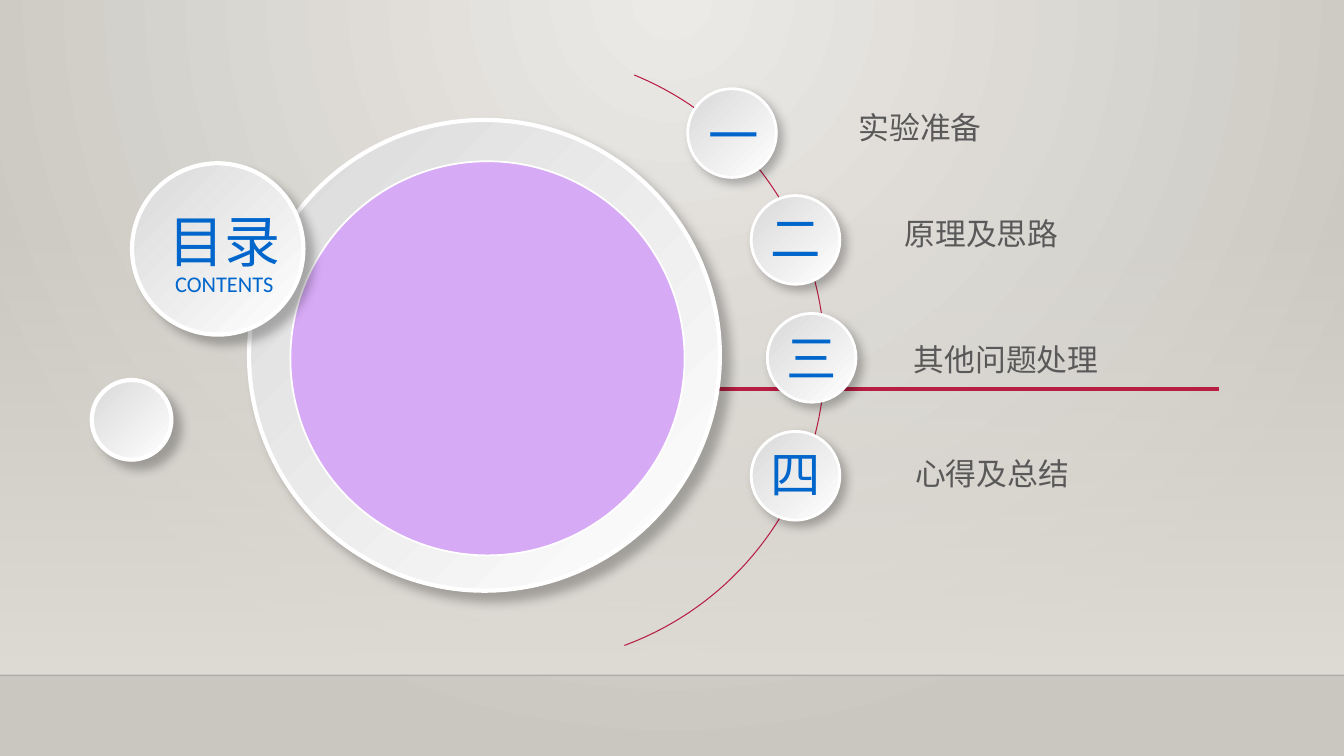
from lxml import etree
from pptx import Presentation, util as u
from pptx.dml.color import RGBColor
from pptx.enum import shapes, text
from pptx.oxml import parse_xml
from pptx.oxml.ns import nsdecls, qn

WHITE = RGBColor(0xFF, 0xFF, 0xFF)
SILVER = RGBColor(0xD9, 0xD9, 0xD9)
PURPLE = RGBColor(0xD7, 0xAA, 0xF6)
CRIMSON = RGBColor(0xB7, 0x1E, 0x42)
BLUE = RGBColor(0x00, 0x66, 0xCC)
GREY = RGBColor(0x59, 0x59, 0x59)
BLACK = RGBColor(0x00, 0x00, 0x00)
SAND = RGBColor(0xDF, 0xDB, 0xD5)
LIGHT_STONE = RGBColor(0xEC, 0xEA, 0xE7)
DARK_STONE = RGBColor(0xCA, 0xC7, 0xC1)

CJK = "Noto Sans CJK SC"
TITLE = {"name": CJK, "size": u.Pt(40)}
SUBTITLE = {"name": "Calibri", "size": u.Pt(16)}
NUMERAL = {"name": CJK, "size": u.Pt(36)}
ENTRY = {"name": CJK, "size": u.Pt(22)}

# numeral, disc left/top, numeral left/top, entry, entry left/top/width
CHAPTERS = [
    ("一", (6.82, 0.88), (6.88, 0.98), "实验准备", (7.8, 1.03, 2.65)),
    ("二", (7.45, 1.94), (7.49, 2.01), "原理及思路", (8.26, 2.08, 2.95)),
    ("三", (7.61, 3.11), (7.65, 3.2), "其他问题处理", (8.26, 3.33, 3.44)),
    ("四", (7.45, 4.28), (7.49, 4.35), "心得及总结", (8.12, 4.46, 3.44)),
]


class ContentsSlide:
    def __init__(self, presentation):
        self.slide = presentation.slides.add_slide(presentation.slide_layouts[6])

    def gradient(self, fill, colors, angle):
        fill.gradient()
        fill.gradient_angle = 360 - angle
        for stop, color, position in zip(fill.gradient_stops, colors, (0, 1)):
            stop.color.rgb = color
            stop.position = position

    def set_alpha(self, color_element, percent):
        etree.SubElement(color_element, qn("a:alpha"), val=str(percent * 1000))

    def background(self):
        self.gradient(self.slide.background.fill, (LIGHT_STONE, DARK_STONE), 0)
        linear = next(self.slide.element.iter(qn("a:lin")))
        radial = parse_xml(
            f'<a:path {nsdecls("a")} path="circle">'
            '<a:fillToRect l="43000" t="0" r="43000" b="100000"/></a:path>')
        linear.getparent().replace(linear, radial)

    def shape(self, kind, left, top, width, height):
        shape = self.slide.shapes.add_shape(
            kind, *map(u.Inches, (left, top, width, height)))
        shape.shadow.inherit = False
        return shape

    def wall(self, height):
        """Rectangle that fades in towards the floor line."""
        shape = self.shape(shapes.MSO_SHAPE.RECTANGLE, 0, 2.21, 13.33, height)
        self.gradient(shape.fill, (SAND, SAND), 90)
        self.set_alpha(next(shape.element.spPr.iter(qn("a:srgbClr"))), 0)
        shape.line.fill.background()

    def line(self, left, right, y, color, width, alpha=100):
        connector = self.slide.shapes.add_connector(
            shapes.MSO_CONNECTOR.STRAIGHT, *map(u.Inches, (left, y, right, y)))
        connector.line.color.rgb = color
        connector.line.width = u.Pt(width)
        properties = connector._element.spPr
        self.set_alpha(next(properties.iter(qn("a:srgbClr"))), alpha)
        etree.SubElement(properties, qn("a:effectLst"))

    def circle(self, left, top, size, line_width):
        shape = self.shape(shapes.MSO_SHAPE.OVAL, left, top, size, size)
        shape.line.color.rgb = WHITE
        shape.line.width = u.Pt(line_width)
        return shape

    def disc(self, left, top, size, line_width=3, distance=8):
        """Raised silver circle with a soft shadow to the lower right."""
        shape = self.circle(left, top, size, line_width)
        self.gradient(shape.fill, (SILVER, WHITE), 45)
        effects = shape.element.spPr.find(qn("a:effectLst"))
        shadow = etree.SubElement(
            effects, qn("a:outerShdw"), blurRad=str(u.Pt(7)),
            dist=str(u.Pt(distance)), dir="2700000", algn="tl", rotWithShape="0")
        color = etree.SubElement(shadow, qn("a:srgbClr"), val=str(BLACK))
        self.set_alpha(color, 25)

    def arc(self, left, top, size):
        shape = self.shape(shapes.MSO_SHAPE.ARC, left, top, size, size)
        shape.rotation = 14.1
        shape.adjustments[0] = 166.843
        shape.adjustments[1] = 33.428
        shape.fill.background()
        shape.line.color.rgb = CRIMSON
        shape.line.width = u.Pt(0.75)

    def label(self, wording, left, top, width, height, style, color=BLUE):
        box = self.slide.shapes.add_textbox(
            *map(u.Inches, (left, top, width, height)))
        frame = box.text_frame
        frame.word_wrap = True
        frame.auto_size = text.MSO_AUTO_SIZE.SHAPE_TO_FIT_TEXT
        paragraph = frame.paragraphs[0]
        paragraph.alignment = text.PP_ALIGN.CENTER
        run = paragraph.add_run()
        run.text = wording
        for name, value in style.items():
            setattr(run.font, name, value)
        run.font.color.rgb = color
        etree.SubElement(run._r.get_or_add_rPr(), qn("a:ea"), typeface=style["name"])


def main():
    presentation = Presentation()
    presentation.slide_width = u.Inches(13.33)
    presentation.slide_height = u.Inches(7.5)
    contents = ContentsSlide(presentation)

    contents.background()
    contents.wall(4.49)
    contents.line(0, 13.33, 6.7, BLACK, 1, alpha=20)
    contents.line(2.64, 12.09, 3.86, CRIMSON, 2.5)

    contents.disc(2.47, 1.19, 4.67)
    center = contents.circle(2.88, 1.6, 3.91, 1.25)
    center.fill.solid()
    center.fill.fore_color.rgb = PURPLE
    contents.disc(0.91, 3.77, 0.79)
    contents.disc(1.31, 1.62, 1.7)
    contents.label("目录", 1.25, 2, 1.95, 0.77, TITLE)
    contents.label("CONTENTS", 1.47, 2.63, 1.51, 0.37, SUBTITLE)

    contents.arc(2.11, 0.52, 6.07)
    for numeral, disc_at, numeral_at, entry, entry_at in CHAPTERS:
        contents.disc(*disc_at, 0.88, line_width=2, distance=5)
        contents.label(numeral, *numeral_at, 0.8, 0.71, NUMERAL)
        contents.label(entry, *entry_at, 0.47, ENTRY, GREY)

    presentation.save("out.pptx")


if __name__ == "__main__":
    main()
